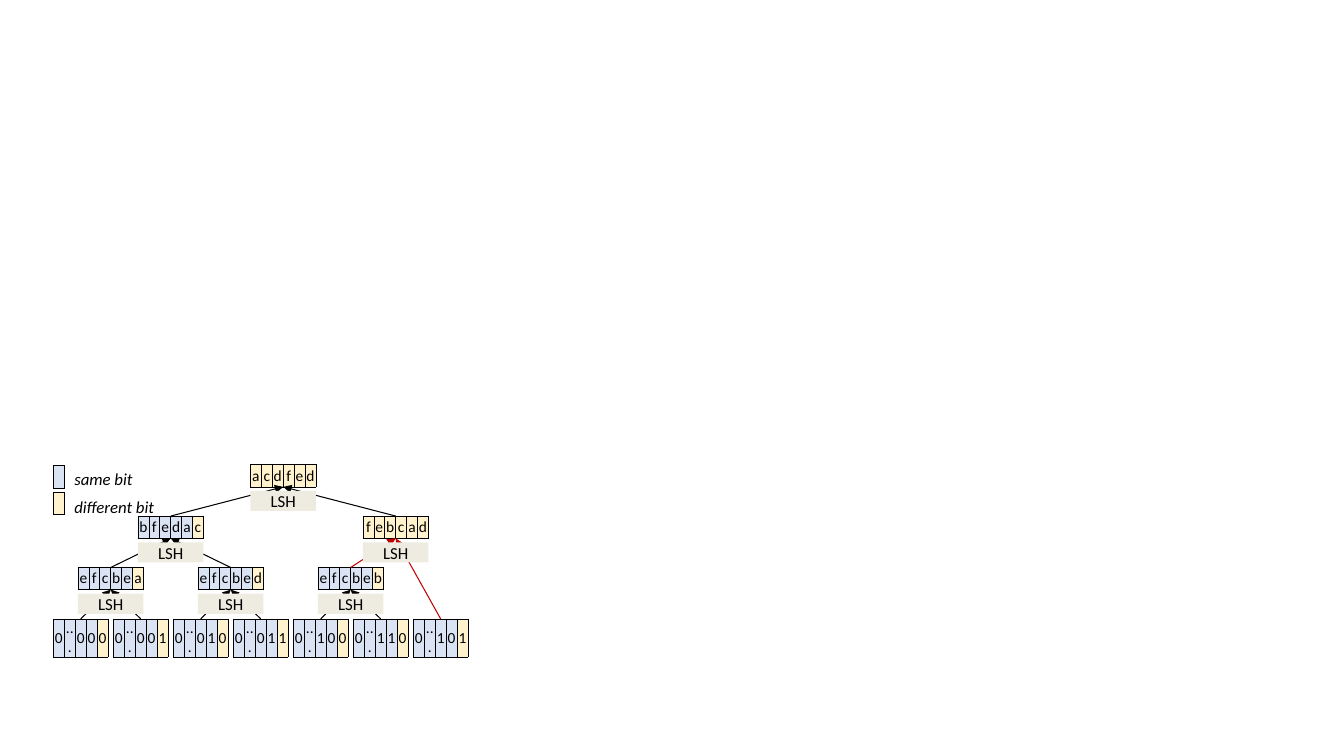
"""Draw a small tree of LSH digests above seven bit strings, with a colour key."""
from lxml import etree
from pptx import Presentation
from pptx import util as u
from pptx.dml.color import RGBColor
from pptx.enum import shapes, text
from pptx.oxml import ns

HUES = {"same": "DAE3F3", "diff": "FFF2CC", "hash": "EEECE1",
        "ink": "000000", "red": "C00000"}
FONT = "Calibri"

# Each node: cells, count of same bits, arrow colour, children.
TREE = ("acdfed", 0, "ink", [
    ("bfedac", 5, "ink", [
        ("efcbea", 5, "ink", ["000", "001"]),
        ("efcbed", 5, "ink", ["010", "011"])]),
    ("febcad", 0, "red", [
        ("efcbeb", 5, "ink", ["100", "110"]),
        "101"])])
KEY = [("same", "same bit", 4.62, 4.5), ("diff", "different bit", 4.88, 4.78)]

LEFT, TOP = 0.53, 4.61
CELL, HIGH = 0.65 / 6, 0.22
STEP, RISE = 0.595, 0.51
DEEP = 3
BOX_W, BOX_H, BOX_Y = 0.65, 0.2, 0.26

deck = Presentation()
deck.slide_width, deck.slide_height = u.Inches(13.33), u.Inches(7.5)
page = deck.slides.add_slide(deck.slide_layouts[6])


def rgb(hue):
    return RGBColor.from_string(HUES[hue])


def span(*sizes):
    return [u.Inches(size) for size in sizes]


def write(para, word, size, slant=False):
    run = para.add_run()
    run.text = word
    run.font.size, run.font.name = u.Pt(size), FONT
    run.font.italic = slant
    run.font.color.rgb = rgb("ink")


def edge(cell):
    props = cell._tc.get_or_add_tcPr()
    for side in ("lnL", "lnR", "lnT", "lnB"):
        line = etree.SubElement(props, ns.qn("a:" + side), w=str(u.Pt(0.5)))
        fill = etree.SubElement(line, ns.qn("a:solidFill"))
        etree.SubElement(fill, ns.qn("a:srgbClr"), val=HUES["ink"])


def strip(x, y, words, hues):
    count = len(words)
    grid = page.shapes.add_table(1, count, *span(x, y, CELL * count, HIGH)).table
    grid.first_row = grid.horz_banding = False
    for col, word, hue in zip(grid.columns, words, hues):
        col.width = u.Inches(CELL)
    for cell, word, hue in zip(grid.iter_cells(), words, hues):
        edge(cell)
        cell.margin_left = cell.margin_right = cell.margin_top = cell.margin_bottom = 0
        cell.vertical_anchor = text.MSO_ANCHOR.MIDDLE
        cell.fill.solid()
        cell.fill.fore_color.rgb = rgb(hue)
        para = cell.text_frame.paragraphs[0]
        para.alignment = text.PP_ALIGN.CENTER
        if word:
            write(para, word, 11)
        else:
            etree.SubElement(para._p, ns.qn("a:endParaRPr"), sz="1100")


def arrow(start, end, hue):
    line = page.shapes.add_connector(shapes.MSO_CONNECTOR.STRAIGHT, *span(*start, *end))
    line.line.color.rgb = rgb(hue)
    line.line.width = u.Pt(0.75)
    etree.SubElement(line.line._get_or_add_ln(), ns.qn("a:tailEnd"), type="triangle")
    etree.SubElement(line._element.spPr, ns.qn("a:effectLst"))


def label(mid, y):
    box = page.shapes.add_shape(shapes.MSO_SHAPE.RECTANGLE,
                                *span(mid - BOX_W / 2, y + BOX_Y, BOX_W, BOX_H))
    box.shadow.inherit = False
    box.fill.solid()
    box.fill.fore_color.rgb = rgb("hash")
    box.line.fill.background()
    frame = box.text_frame
    frame.margin_top = frame.margin_bottom = 0
    frame.vertical_anchor = text.MSO_ANCHOR.MIDDLE
    para = frame.paragraphs[0]
    para.alignment = text.PP_ALIGN.CENTER
    write(para, "LSH", 12)


leaves, links, tags = [], [], []


def place(node, depth=0):
    if isinstance(node, str):
        words, same, depth = ["0", "...", *node], 4, DEEP
        mid = LEFT + CELL * len(words) / 2 + STEP * len(leaves)
        leaves.append(node)
        y = TOP + RISE * depth
    else:
        words, same, hue, kids = node
        y = TOP + RISE * depth
        spots = [place(kid, depth + 1) for kid in kids]
        mid = sum(x for x, _ in spots) / len(spots)
        links.extend((spot, (mid, y + HIGH), hue) for spot in spots)
        tags.append((mid, y))
    count = len(words)
    strip(mid - CELL * count / 2, y, words, ["same"] * same + ["diff"] * (count - same))
    return mid, y


place(TREE)
for link in links:
    arrow(*link)
for tag in tags:
    label(*tag)

for hue, name, y, base in KEY:
    strip(LEFT, y, [""], [hue])
    note = page.shapes.add_textbox(*span(LEFT + CELL, base, 1.05, 0.37)).text_frame
    note.word_wrap = True
    note.paragraphs[0].line_spacing = 1.5
    write(note.paragraphs[0], name, 12, True)

deck.save("out.pptx")
